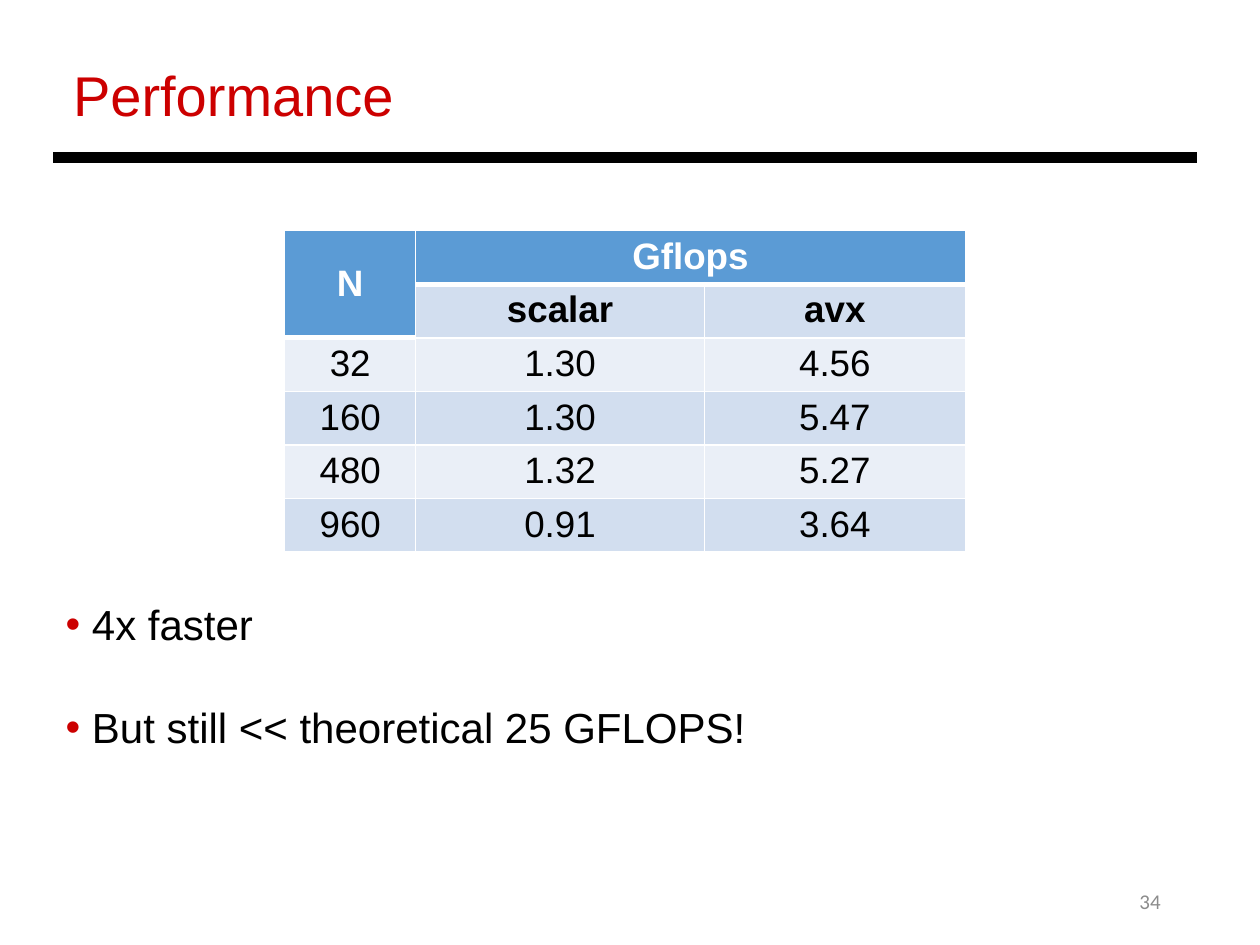
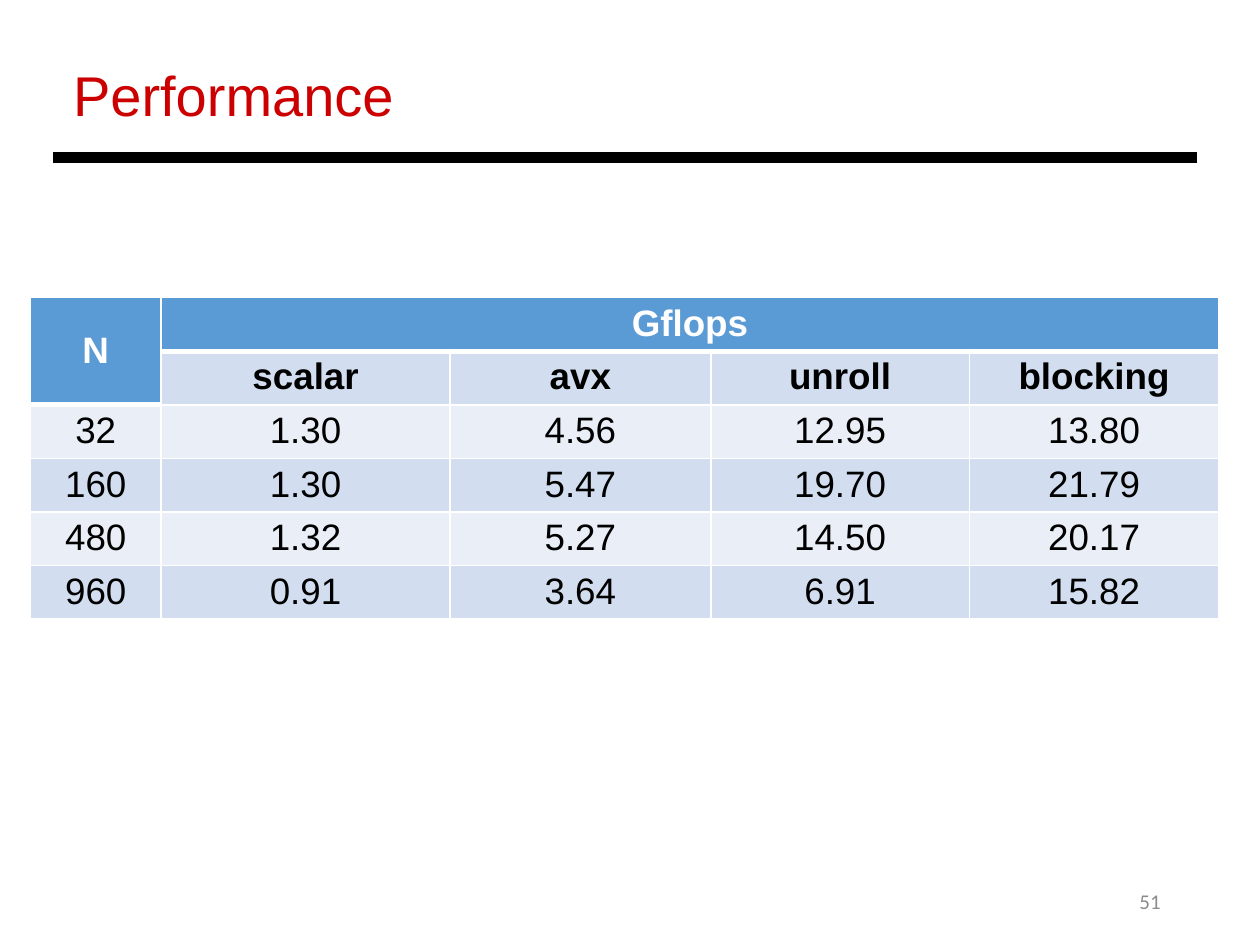
from dataclasses import dataclass
from typing import Optional

from lxml.etree import SubElement
from pptx import Presentation
from pptx.dml.color import RGBColor
from pptx.enum.shapes import MSO_CONNECTOR
from pptx.enum.text import MSO_ANCHOR as Anchor, MSO_AUTO_SIZE as AutoSize, PP_ALIGN as Align
from pptx.oxml import parse_xml
from pptx.oxml.ns import nsdecls, qn
from pptx.util import Cm, Pt

# Shared look
COLORS = {
    "accent": "CC0000",
    "ink": "000000",
    "paper": "FFFFFF",
    "number": "8C8C8C",
    "header": "5B9BD5",
    "band_dark": "D2DEEF",
    "band_light": "EAEFF7",
}
TITLE_AND_BODY, TITLE_ONLY = 1, 5
COLUMN_WIDTHS = (2.64, 5.82, 5.26, 5.21, 5.03)
ROW_HEIGHT = 1.08
HEADER_ROWS = 1
THIN, THICK = 1, 3

# Measured speeds: one row per matrix size
METHODS = ("scalar", "avx", "unroll", "blocking")
SPEEDS = {
    "32": ("1.30", "4.56", "12.95", "13.80"),
    "160": ("1.30", "5.47", "19.70", "21.79"),
    "480": ("1.32", "5.27", "14.50", "20.17"),
    "960": ("0.91", "3.64", "6.91", "15.82"),
}


@dataclass(frozen=True)
class Box:
    left: float
    top: float
    width: float
    height: float


@dataclass(frozen=True)
class PerformancePage:
    number: str
    method_count: int
    table_left: float
    table_top: float
    bullets: tuple[str, ...] = ()


TITLE_BOX = Box(1.22, 1.09, 19.56, 1.63)
BODY_BOX = Box(1.07, 11.94, 23.57, 3.33)
NUMBER_BOX = Box(17.93, 17.65, 5.72, 1.02)
RULE = Box(1.07, 3.18, 23.06, 0)

PAGES = (
    PerformancePage("34", 2, 5.74, 4.65,
                    ("4x faster", "But still << theoretical 25 GFLOPS!")),
    PerformancePage("51", 4, 0.61, 6.0),
)


def rgb(name: str) -> RGBColor:
    return RGBColor.from_string(COLORS[name])


def write(frame, text: str, *, size: float, color: str = "ink", font: str = "Arial",
          bold: bool = False, align=Align.LEFT, before: float = 0,
          bullet: Optional[str] = None) -> None:
    """Fill the first paragraph if it is empty, otherwise add one."""
    para = frame.paragraphs[0] if not frame.text else frame.add_paragraph()
    para.alignment = align
    para.space_before = Pt(before)
    if bullet:
        props = para._p.get_or_add_pPr()
        props.set("marL", str(Cm(0.53)))
        props.set("indent", str(-Cm(0.53)))
        fill = SubElement(props, qn("a:buClr"))
        SubElement(fill, qn("a:srgbClr"), val=COLORS[bullet])
        SubElement(props, qn("a:buChar"), char="•")
    span = para.add_run()
    span.text = text
    span.font.size = Pt(size)
    span.font.name = font
    span.font.bold = bold
    span.font.color.rgb = rgb(color)


def place(shape, box: Box, anchor=Anchor.TOP):
    """Move a text shape and return its prepared frame."""
    shape.left, shape.top = Cm(box.left), Cm(box.top)
    shape.width, shape.height = Cm(box.width), Cm(box.height)
    frame = shape.text_frame
    frame.word_wrap = True
    frame.auto_size = AutoSize.NONE
    frame.vertical_anchor = anchor
    return frame


def set_borders(cell, top: int, bottom: int) -> None:
    widths = {"lnL": THIN, "lnR": THIN, "lnT": top, "lnB": bottom}
    props = cell._tc.get_or_add_tcPr()
    for index, (side, width) in enumerate(widths.items()):
        props.insert(index, parse_xml(
            f'<a:{side} {nsdecls("a")} w="{Pt(width)}"><a:solidFill>'
            f'<a:srgbClr val="{COLORS["paper"]}"/></a:solidFill></a:{side}>'))


def add_speed_table(slide, page: PerformancePage) -> None:
    count = page.method_count
    rows = [("N", "Gflops") + ("",) * (count - 1), ("",) + METHODS[:count]]
    rows += [(size,) + speeds[:count] for size, speeds in SPEEDS.items()]
    widths = COLUMN_WIDTHS[:count + 1]
    table = slide.shapes.add_table(
        len(rows), len(widths), Cm(page.table_left), Cm(page.table_top),
        Cm(sum(widths)), Cm(ROW_HEIGHT * len(rows))).table
    table.first_row = table.horz_banding = False
    for column, width in zip(table.columns, widths):
        column.width = Cm(width)

    for r, values in enumerate(rows):
        table.rows[r].height = Cm(ROW_HEIGHT)
        for c, value in enumerate(values):
            cell = table.cell(r, c)
            # The size heading spans one row more than the speed heading
            header_end = HEADER_ROWS + (c == 0)
            is_header = r < header_end
            band = "band_dark" if r % 2 else "band_light"
            cell.fill.solid()
            cell.fill.fore_color.rgb = rgb("header" if is_header else band)
            cell.margin_top = cell.margin_bottom = Cm(0.11)
            cell.vertical_anchor = Anchor.MIDDLE if is_header and c == 0 else Anchor.TOP
            set_borders(cell, THICK if r == header_end else THIN,
                        THICK if is_header and (c == 0 or r == header_end - 1) else THIN)
            if value:
                write(cell.text_frame, value, size=21, bold=r < 2, align=Align.CENTER,
                      color="paper" if is_header else "ink")
    table.cell(0, 0).merge(table.cell(1, 0))
    table.cell(0, 1).merge(table.cell(0, count))


def add_rule(slide) -> None:
    rule = slide.shapes.add_connector(
        MSO_CONNECTOR.STRAIGHT, Cm(RULE.left), Cm(RULE.top),
        Cm(RULE.left + RULE.width), Cm(RULE.top))
    rule.line.color.rgb = rgb("ink")
    rule.line.width = Pt(6)
    SubElement(rule._element.spPr, qn("a:effectLst"))


def add_page(deck, page: PerformancePage) -> None:
    layout = TITLE_AND_BODY if page.bullets else TITLE_ONLY
    slide = deck.slides.add_slide(deck.slide_layouts[layout])

    # Title, rule and page number
    write(place(slide.shapes.title, TITLE_BOX), "Performance", size=32, color="accent")
    add_rule(slide)
    number = slide.shapes.add_textbox(0, 0, 0, 0)
    write(place(number, NUMBER_BOX, Anchor.MIDDLE), page.number, size=12,
          color="number", font="Calibri", align=Align.RIGHT)

    # Results and remarks
    add_speed_table(slide, page)
    if page.bullets:
        body = place(slide.placeholders[1], BODY_BOX)
        for index, text in enumerate(page.bullets):
            write(body, text, size=24, bullet="accent", before=30 if index else 0)


def main() -> None:
    deck = Presentation()
    deck.slide_width, deck.slide_height = Cm(25.4), Cm(19.05)
    for page in PAGES:
        add_page(deck, page)
    deck.save("out.pptx")


if __name__ == "__main__":
    main()
